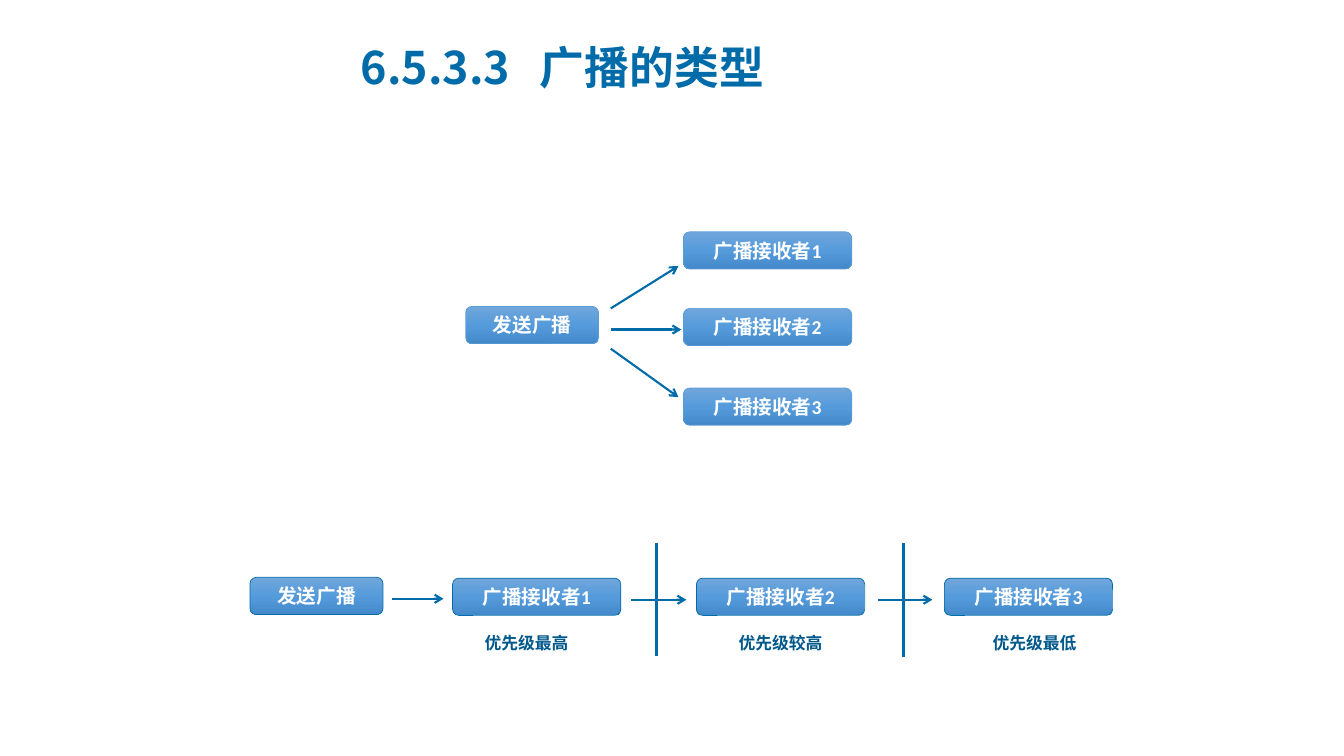
from copy import deepcopy
from dataclasses import dataclass

from lxml import etree
from pptx import Presentation
from pptx.dml.color import RGBColor
from pptx.enum.shapes import MSO_CONNECTOR, MSO_SHAPE
from pptx.enum.text import MSO_ANCHOR, PP_ALIGN
from pptx.oxml.ns import qn
from pptx.slide import Slide
from pptx.text.text import TextFrame
from pptx.util import Pt

ROUNDED = MSO_SHAPE.ROUNDED_RECTANGLE
STRAIGHT = MSO_CONNECTOR.STRAIGHT
MIDDLE = MSO_ANCHOR.MIDDLE
TOP = MSO_ANCHOR.TOP
LEFT = PP_ALIGN.LEFT
CENTER = PP_ALIGN.CENTER

COLORS = {
    "white": "FFFFFF",
    "accent": "006BA9",
    "label": "01598B",
    "outline": "5B9BD5",
}
GRADIENT = ((0, "71A6DB"), (0.5, "559BDB"), (1, "448ACA"))
LATIN_FONT = "Calibri"
CHINESE_FONT = "Noto Sans CJK SC"

BOX_HEIGHT = 26.6
SENDER_WIDTH = 95
RECEIVER_WIDTH = 120.2
LABEL_LEFT, LABEL_STEP = 339.1, 181.44


@dataclass
class Box:
    text: str
    left: float
    top: float
    width: float
    outline: str


@dataclass
class Line:
    x1: float
    y1: float
    x2: float
    y2: float
    width: float = 1.5
    arrow: bool = True


def sender(left: float, top: float, outline: str) -> Box:
    return Box("发送广播", left, top, SENDER_WIDTH, outline)


def receiver(number: int, left: float, top: float, outline: str) -> Box:
    return Box(f"广播接收者{number}", left, top, RECEIVER_WIDTH, outline)


BOXES = [
    sender(332.6, 218.9, "outline"),
    *(receiver(number, 488.2, top, "outline")
      for number, top in enumerate((165.6, 220.3, 277.2), 1)),
    sender(178.6, 412.4, "accent"),
    *(receiver(number, left, 413, "accent")
      for number, left in enumerate((323.3, 497.5, 674.6), 1)),
]
LINES = [
    Line(436.3, 220.3, 484.6, 190.1),
    Line(436.3, 235.4, 486.7, 235.4),
    Line(436.3, 249.1, 484.6, 283.7),
    Line(280.1, 427.7, 316.8, 427.7),
    Line(450.7, 428.4, 490.3, 428.4),
    Line(627.1, 428.4, 666, 428.4),
    Line(468.7, 388.1, 468.7, 468.7, 2.25, False),
    Line(645.1, 388.1, 645.1, 469.1, 2.25, False),
]
PRIORITIES = ("优先级最高", "优先级较高", "优先级最低")


def rgb(name: str) -> RGBColor:
    return RGBColor.from_string(COLORS[name])


def write(frame: TextFrame, text: str, size: float, color: str,
          font: str = LATIN_FONT, align: PP_ALIGN = LEFT,
          anchor: MSO_ANCHOR = MIDDLE, wrap: bool = True) -> None:
    frame.word_wrap = wrap
    frame.vertical_anchor = anchor
    paragraph = frame.paragraphs[0]
    paragraph.alignment = align
    run = paragraph.add_run()
    run.text = text
    run.font.size = Pt(size)
    run.font.bold = True
    run.font.name = font
    run.font.color.rgb = rgb(color)
    properties = run.font._element
    east_asian = etree.SubElement(properties, qn("a:ea"))
    east_asian.set("typeface", CHINESE_FONT)


def draw_box(slide: Slide, box: Box) -> None:
    shape = slide.shapes.add_shape(
        ROUNDED, Pt(box.left), Pt(box.top), Pt(box.width), Pt(BOX_HEIGHT))
    shape.shadow.inherit = False
    shape.fill.gradient()
    shape.fill.gradient_angle = 270
    stop_list = next(shape.element.iter(qn("a:gsLst")))
    stop_list.insert(1, deepcopy(stop_list[0]))
    for stop, (position, color) in zip(shape.fill.gradient_stops, GRADIENT):
        stop.position = position
        stop.color.rgb = RGBColor.from_string(color)
    shape.line.color.rgb = rgb(box.outline)
    shape.line.width = Pt(0.5)
    write(shape.text_frame, box.text, 14, "white", align=CENTER)


def draw_line(slide: Slide, line: Line) -> None:
    connector = slide.shapes.add_connector(
        STRAIGHT, Pt(line.x1), Pt(line.y1), Pt(line.x2), Pt(line.y2))
    connector.line.color.rgb = rgb("accent")
    connector.line.width = Pt(line.width)
    properties = connector.element.spPr
    if line.arrow:
        tail = etree.SubElement(properties.find(qn("a:ln")), qn("a:tailEnd"))
        tail.set("type", "arrow")
    etree.SubElement(properties, qn("a:effectLst"))


def draw_title(slide: Slide) -> None:
    title = slide.shapes.add_textbox(Pt(250.6), Pt(17.3), Pt(405.4), Pt(60.5))
    paragraph = title.text_frame.paragraphs[0]
    properties = paragraph._p.get_or_add_pPr()
    tabs = etree.SubElement(properties, qn("a:tabLst"))
    etree.SubElement(tabs, qn("a:tab"), pos=str(Pt(128)), algn="l")
    write(title.text_frame, "6.5.3.3\t广播的类型", 32, "accent", CHINESE_FONT)


def draw_label(slide: Slide, text: str, left: float) -> None:
    label = slide.shapes.add_textbox(Pt(left), Pt(448.6), Pt(74.9), Pt(21.6))
    write(label.text_frame, text, 12, "label", anchor=TOP, wrap=False)


def main() -> None:
    presentation = Presentation()
    presentation.slide_width = Pt(960)
    presentation.slide_height = Pt(540)
    slide = presentation.slides.add_slide(presentation.slide_layouts[6])
    draw_title(slide)
    for box in BOXES:
        draw_box(slide, box)
    for line in LINES:
        draw_line(slide, line)
    for index, priority in enumerate(PRIORITIES):
        draw_label(slide, priority, LABEL_LEFT + index * LABEL_STEP)
    presentation.save("out.pptx")


if __name__ == "__main__":
    main()
